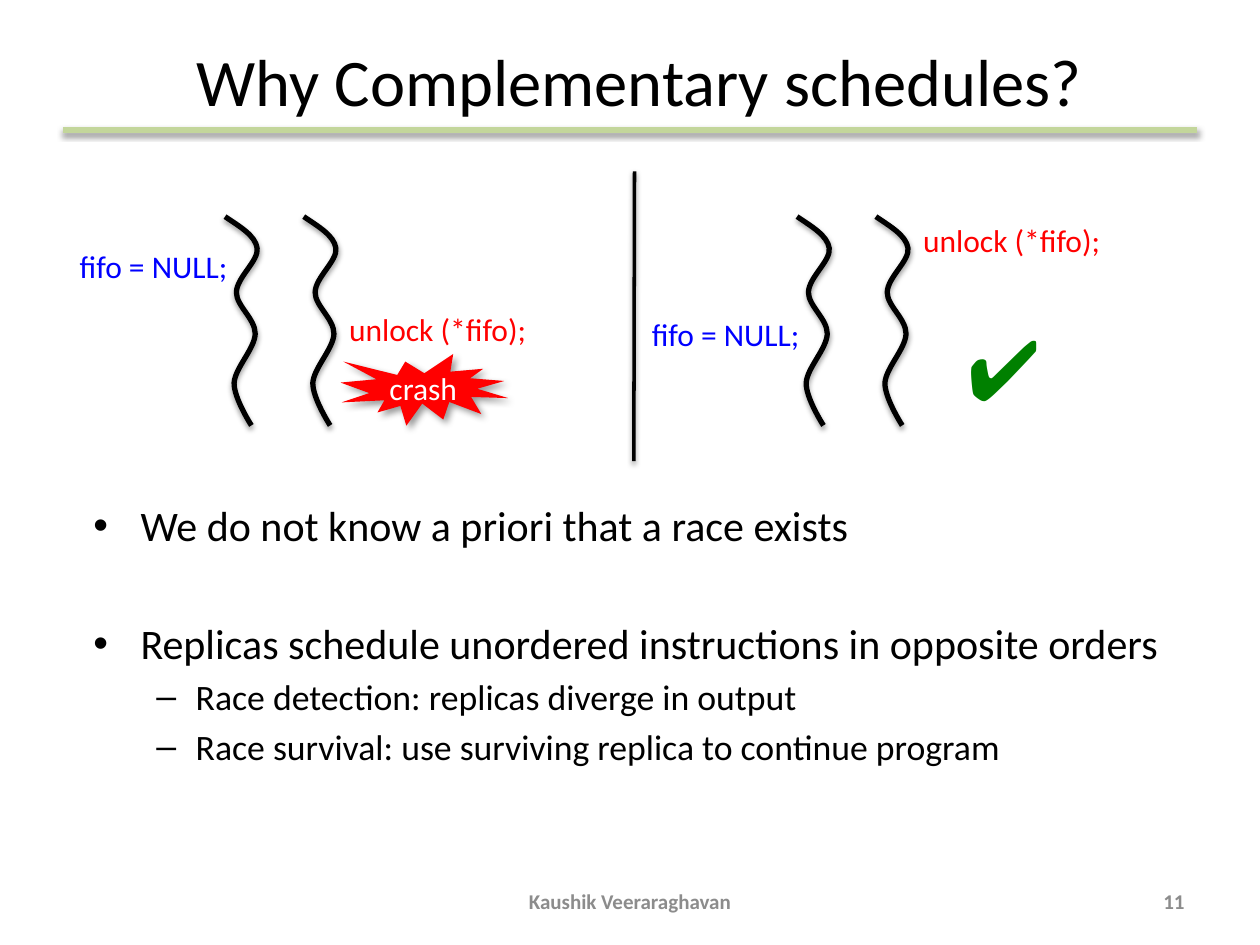
from lxml import etree
from pptx import Presentation
from pptx.dml.color import RGBColor
from pptx.enum.shapes import MSO_CONNECTOR, MSO_SHAPE
from pptx.enum.text import MSO_ANCHOR, MSO_AUTO_SIZE, PP_ALIGN
from pptx.oxml.ns import qn
from pptx.util import Pt

STRAIGHT = MSO_CONNECTOR.STRAIGHT
BURST = MSO_SHAPE.EXPLOSION1
MIDDLE, TOP = MSO_ANCHOR.MIDDLE, MSO_ANCHOR.TOP
LEFT, CENTER, RIGHT = PP_ALIGN.LEFT, PP_ALIGN.CENTER, PP_ALIGN.RIGHT
FIT_SHAPE, NO_FIT = MSO_AUTO_SIZE.SHAPE_TO_FIT_TEXT, MSO_AUTO_SIZE.NONE

# Content: lengths in points
TITLE = "Why Complementary schedules?"
BULLETS = [  # text, level, space before
    ("We do not know a priori that a race exists", 0, 0),
    ("Replicas schedule unordered instructions in opposite orders", 0, 38.4),
    ("Race detection: replicas diverge in output", 1, None),
    ("Race survival: use surviving replica to continue program", 1, None),
]
LABELS = [  # text, style, box
    ("unlock (*fifo);", "unlock", (192.4, 173.5, 116.6, 29)),
    ("fifo = NULL;", "assign", (38.5, 137.5, 100, 29)),
    ("unlock (*fifo);", "unlock", (520.4, 122.7, 116.6, 29)),
    ("fifo = NULL;", "assign", (365.4, 176.4, 100, 29)),
    ("✔", "check", (545.8, 177.1, 55.4, 65.5)),
]
FOOTERS = [
    ("Kaushik Veeraraghavan", CENTER, (246, 500.5, 228, 28.75)),
    ("11", RIGHT, (516, 500.5, 168, 28.75)),
]
TITLE_BOX = (10.8, 22, 709.2, 47.5)
BODY_BOX = (46.1, 282, 635.8, 177.1)
CRASH_BOX = (194.6, 202.3, 95.8, 41)
RULE = (36, 74.2, 684, 74.2)
DIVIDER = (362.6, 97.9, 362.2, 263.5)

# Threads: two waves in each panel
PANEL_LEFTS = (128.6, 455.5)
THREAD_GAP, THREAD_TOP = 45, 123.8
WAVE = [  # Bezier segments: two handles and an end, from (0, 0)
    ((8.6, 5.8), (17.3, 10.8), (18.4, 18)),
    ((19.4, 25.2), (6.8, 34.6), (6.5, 43.2)),
    ((6.5, 51.1), (17.3, 58.3), (17.3, 67)),
    ((16.9, 75.6), (5.8, 86.4), (5.2, 95)),
    ((5, 103.7), (15.1, 119.3), (15.1, 119.3)),
]

THEME = {
    "font": "Calibri",
    "rule": "C3D69B",
    "ink": "000000",
    "burst": "FF0000",
    "line_shadow": (38, 3.1, 1.6, 90),  # opacity, blur, distance, angle
    "burst_shadow": (40, 4, 3, 45),
    "text": {
        "title": {"size": 38, "color": "000000"},
        "bullet0": {"size": 24, "color": "000000"},
        "bullet1": {"size": 20.4, "color": "000000"},
        "unlock": {"size": 18, "color": "FF0000"},
        "assign": {"size": 18, "color": "0000FF"},
        "crash": {"size": 18, "color": "FFFFFF"},
        "check": {"size": 48, "color": "008000", "name": "Arial"},
        "footer": {"size": 12, "color": "8C8C8C", "bold": True},
    },
}


def points(values):
    return [Pt(value) for value in values]


def write(paragraph, text, style):
    values = dict(THEME["text"][style])
    run = paragraph.add_run()
    run.text = text
    run.font.color.rgb = RGBColor.from_string(values.pop("color"))
    values["size"] = Pt(values["size"])
    for name, value in {"name": THEME["font"], **values}.items():
        setattr(run.font, name, value)


def place(shape, box):
    for name, value in zip(("left", "top", "width", "height"), points(box)):
        setattr(shape, name, value)


def add_text(slide, text, style, box, align=LEFT, **frame_format):
    shape = slide.shapes.add_textbox(*points(box))
    for name, value in frame_format.items():
        setattr(shape.text_frame, name, value)
    paragraph = shape.text_frame.paragraphs[0]
    paragraph.alignment = align
    write(paragraph, text, style)


def add_shadow(shape, opacity, blur, distance, angle):
    properties = shape._element.spPr
    effects = etree.SubElement(properties, qn("a:effectLst"))
    shadow = etree.SubElement(
        effects, qn("a:outerShdw"), blurRad=str(Pt(blur)), dist=str(Pt(distance)),
        dir=str(angle * 60000), rotWithShape="0")
    color = etree.SubElement(shadow, qn("a:srgbClr"), val=THEME["ink"])
    etree.SubElement(color, qn("a:alpha"), val=str(opacity * 1000))


def style_line(shape, color, width):
    shape.line.color.rgb = RGBColor.from_string(color)
    shape.line.width = Pt(width)
    add_shadow(shape, *THEME["line_shadow"])


def add_line(slide, ends, color, width):
    style_line(slide.shapes.add_connector(STRAIGHT, *points(ends)), color, width)


def round_corners(shape):
    """Turn each three straight segments into one Bezier curve."""
    segments = list(shape._element.iter(qn("a:lnTo")))
    for first in range(0, len(segments), 3):
        curve = etree.Element(qn("a:cubicBezTo"))
        segments[first].addprevious(curve)
        for segment in segments[first:first + 3]:
            curve.append(segment[0])
            segment.getparent().remove(segment)


def add_thread(slide, left):
    builder = slide.shapes.build_freeform(Pt(left), Pt(THREAD_TOP))
    builder.add_line_segments(
        [points((left + x, THREAD_TOP + y)) for segment in WAVE for x, y in segment],
        close=False)
    thread = builder.convert_to_shape()
    round_corners(thread)
    thread.fill.background()
    style_line(thread, THEME["ink"], 3)


def main():
    presentation = Presentation()
    presentation.slide_width, presentation.slide_height = Pt(720), Pt(540)
    slide = presentation.slides.add_slide(presentation.slide_layouts[1])

    # Title and rule
    add_line(slide, RULE, THEME["rule"], 3.5)
    title, body = slide.placeholders
    place(title, TITLE_BOX)
    title.text_frame.auto_size = NO_FIT
    title.text_frame.vertical_anchor = MIDDLE
    write(title.text_frame.paragraphs[0], TITLE, "title")

    # Bullets
    place(body, BODY_BOX)
    frame = body.text_frame
    frame.auto_size, frame.vertical_anchor = NO_FIT, TOP
    for index, (text, level, space_before) in enumerate(BULLETS):
        paragraph = frame.add_paragraph() if index else frame.paragraphs[0]
        paragraph.level = level
        if space_before is not None:
            paragraph.space_before = Pt(space_before)
        write(paragraph, text, f"bullet{level}")

    # Two schedules side by side
    add_line(slide, DIVIDER, THEME["ink"], 2)
    for panel_left in PANEL_LEFTS:
        for thread in range(2):
            add_thread(slide, panel_left + thread * THREAD_GAP)
    for text, style, box in LABELS:
        add_text(slide, text, style, box, word_wrap=False, auto_size=FIT_SHAPE)

    # Crash burst
    burst = slide.shapes.add_shape(BURST, *points(CRASH_BOX))
    burst.fill.solid()
    burst.fill.fore_color.rgb = RGBColor.from_string(THEME["burst"])
    burst.line.fill.background()
    add_shadow(burst, *THEME["burst_shadow"])
    burst.text_frame.vertical_anchor = MIDDLE
    burst.text_frame.word_wrap = False
    burst.text_frame.paragraphs[0].alignment = CENTER
    write(burst.text_frame.paragraphs[0], "crash", "crash")

    # Footer
    for text, align, box in FOOTERS:
        add_text(slide, text, "footer", box, align, word_wrap=True, vertical_anchor=MIDDLE)

    presentation.save("out.pptx")


if __name__ == "__main__":
    main()
